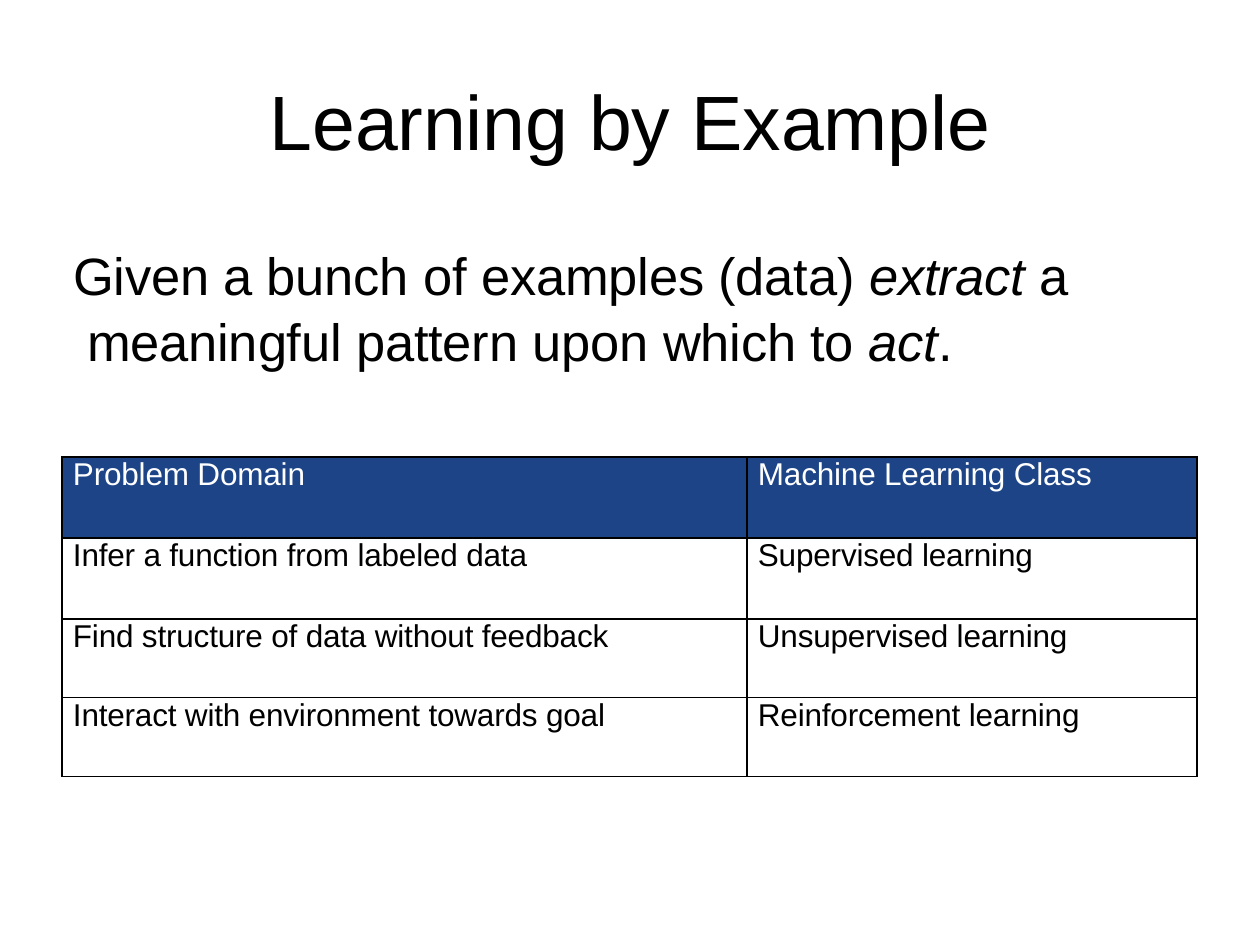
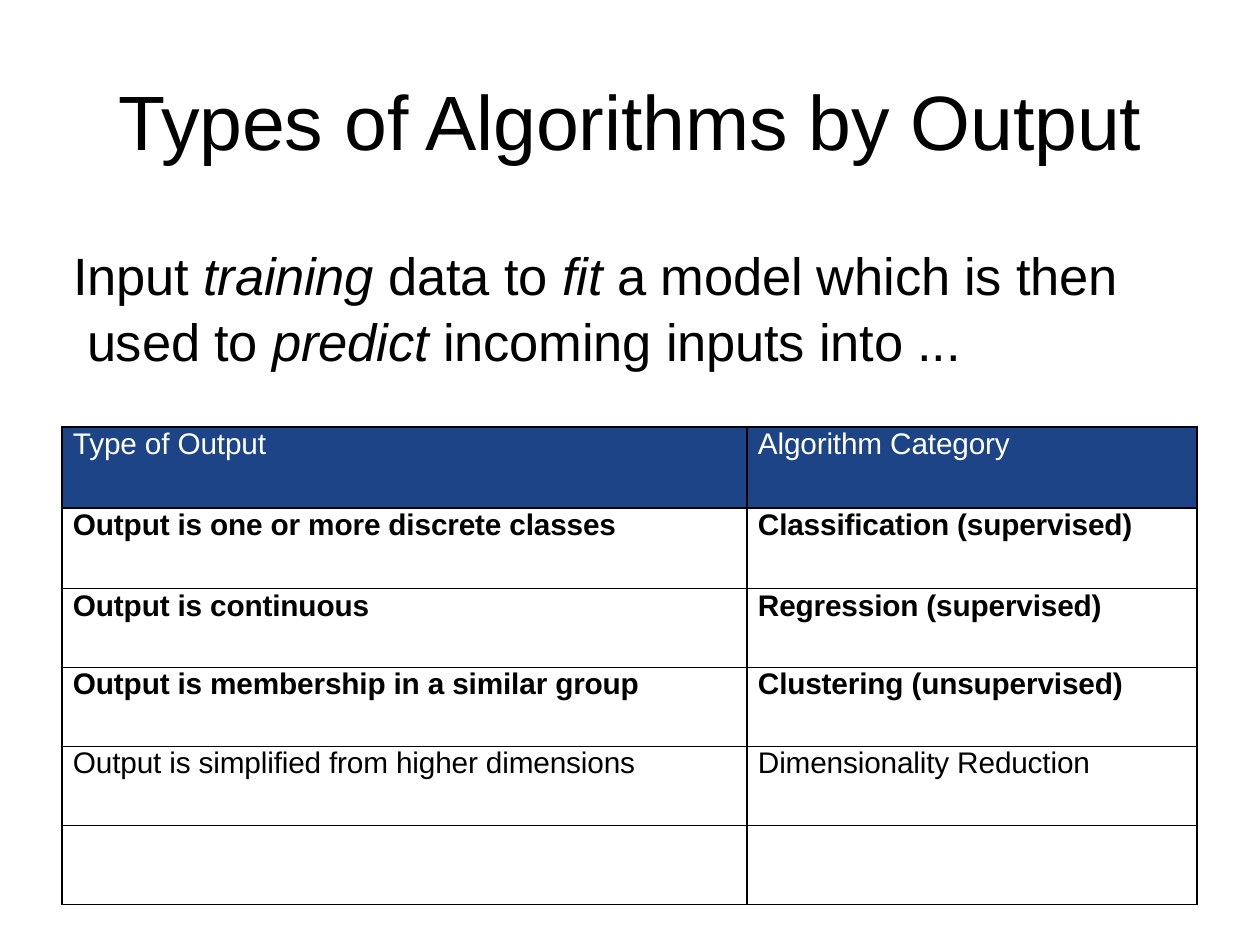
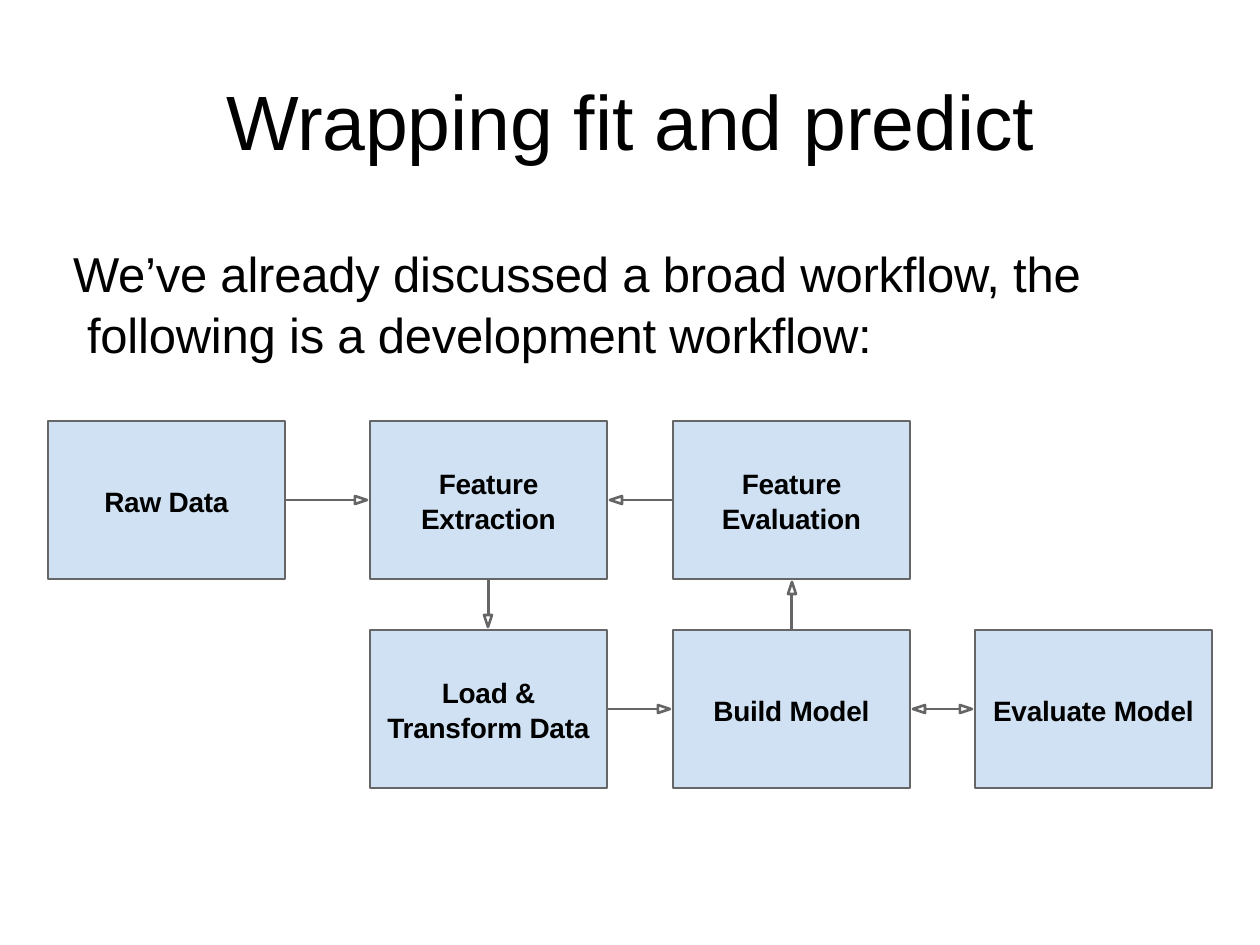
"""Builds three slides on learning by example, algorithm types and the model workflow."""
from lxml.etree import SubElement
from pptx import Presentation
from pptx.dml.color import RGBColor
from pptx.enum.shapes import MSO_CONNECTOR, MSO_SHAPE
from pptx.enum.text import MSO_ANCHOR, MSO_AUTO_SIZE, PP_ALIGN
from pptx.oxml.ns import qn
from pptx.util import Emu, Inches, Pt

PX = Inches(1) / 126
FONT = "Arial"
BLACK, WHITE, NAVY, PALE_BLUE, GREY = "000000", "FFFFFF", "1C4487", "CFE1F2", "666666"

LEARNING = {
    "title": "Learning by Example",
    "lead": "Given a bunch of examples (data) *extract* a meaningful pattern upon which to *act*.",
    "lead_width": 1008,
    "lead_size": 30,
}
LEARNING_ROWS = [
    ("Problem Domain", "Machine Learning Class"),
    ("Infer a function from labeled data", "Supervised learning"),
    ("Find structure of data without feedback", "Unsupervised learning"),
    ("Interact with environment towards goal", "Reinforcement learning"),
]
ALGORITHMS = {
    "title": "Types of Algorithms by Output",
    "lead": "Input *training* data to *fit* a model which is then used to *predict* incoming inputs into ...",
    "lead_width": 1057,
    "lead_size": 30,
}
ALGORITHM_ROWS = [
    ("Type of Output", "Algorithm Category"),
    ("Output is one or more discrete classes", "Classification (supervised)"),
    ("Output is continuous", "Regression (supervised)"),
    ("Output is membership in a similar group", "Clustering (unsupervised)"),
    ("Output is simplified from higher dimensions", "Dimensionality Reduction"),
    ("", ""),
]
WORKFLOW = {
    "title": "Wrapping fit and predict",
    "lead": "We’ve already discussed a broad workflow, the following is a development workflow:",
    "lead_width": 1024,
    "lead_size": 28,
}
STEPS = {
    "Raw Data": (0, 0),
    "Feature Extraction": (1, 0),
    "Feature Evaluation": (2, 0),
    "Load & Transform Data": (1, 1),
    "Build Model": (2, 1),
    "Evaluate Model": (3, 1),
}
FLOWS = [
    ("Raw Data", "Feature Extraction", False),
    ("Feature Extraction", "Load & Transform Data", False),
    ("Load & Transform Data", "Build Model", False),
    ("Build Model", "Feature Evaluation", False),
    ("Feature Evaluation", "Feature Extraction", False),
    ("Build Model", "Evaluate Model", True),
]
STEP_LEFTS, STEP_TOPS = (48, 370, 673, 975), (421, 630)
STEP_WIDTH, STEP_HEIGHT = 237, 158
HEAD_LENGTH, HEAD_HALF, HEAD_GAP = 12, 4, 3


def px(*lengths):
    return [Emu(round(length * PX)) for length in lengths]


def color(code):
    return RGBColor.from_string(code)


def style(paragraph, size, ink=BLACK, bold=False):
    font = paragraph.font
    font.name, font.size, font.bold = FONT, Pt(size), bold
    font.color.rgb = color(ink)
    font._rPr.set("spc", "-10")


def set_insets(target, left=0, top=0, right=0, bottom=0):
    (target.margin_left, target.margin_top,
     target.margin_right, target.margin_bottom) = px(left, top, right, bottom)


def add_slide(deck, title, lead, lead_width, lead_size):
    slide = deck.slides.add_slide(deck.slide_layouts[1])
    heading = slide.shapes.title.text_frame
    heading.text = title
    set_insets(heading, top=6)
    style(heading.paragraphs[0], 44)

    body = slide.placeholders[1]
    body.left, body.top, body.width, body.height = px(73, 241, lead_width, 127)
    frame = body.text_frame
    frame.auto_size = MSO_AUTO_SIZE.NONE
    set_insets(frame)
    sentence = frame.paragraphs[0]
    for index, part in enumerate(lead.split("*")):
        run = sentence.add_run()
        run.text = part
        run.font.italic = index % 2 == 1
    sentence.space_before, sentence.line_spacing = Pt(0), 1.04
    hanging, = px(14)
    properties = sentence._p.get_or_add_pPr()
    properties.set("marL", str(hanging))
    properties.set("indent", str(-hanging))
    SubElement(properties, qn("a:buNone"))
    style(sentence, lead_size)
    return slide


def add_borders(cell):
    properties = cell._tc.get_or_add_tcPr()
    for side in ("a:lnL", "a:lnR", "a:lnT", "a:lnB"):
        border = SubElement(properties, qn(side), w=str(Pt(0.75)))
        fill = SubElement(border, qn("a:solidFill"))
        SubElement(fill, qn("a:srgbClr"), val=BLACK)


def add_class_table(slide, rows, top, size, bold_rows=()):
    heights = [81 if index < 2 else 79 for index in range(len(rows))]
    table = slide.shapes.add_table(
        len(rows), 2, *px(62, top, 1135, sum(heights))).table
    table.horz_banding = False
    for column, width in zip(table.columns, px(685, 450)):
        column.width = width
    for index, (row, height) in enumerate(zip(table.rows, px(*heights))):
        row.height = height
        for cell, text in zip(row.cells, rows[index]):
            cell.text = text
            set_insets(cell, left=11)
            add_borders(cell)
            if index == 0:
                cell.fill.solid()
                cell.fill.fore_color.rgb = color(NAVY)
            else:
                cell.fill.background()
            style(cell.text_frame.paragraphs[0], size,
                  WHITE if index == 0 else BLACK, index in bold_rows)


def outline(shape):
    shape.line.color.rgb = color(GREY)
    shape.line.width = Pt(1.5)


def add_step(slide, name, column, row):
    box = slide.shapes.add_shape(MSO_SHAPE.RECTANGLE, *px(
        STEP_LEFTS[column], STEP_TOPS[row], STEP_WIDTH, STEP_HEIGHT))
    box.shadow.inherit = False
    box.fill.solid()
    box.fill.fore_color.rgb = color(PALE_BLUE)
    outline(box)
    frame = box.text_frame
    frame.text, frame.word_wrap = name, True
    frame.vertical_anchor = MSO_ANCHOR.MIDDLE
    set_insets(frame, left=10, right=10)
    label = frame.paragraphs[0]
    label.alignment, label.line_spacing = PP_ALIGN.CENTER, 1.05
    style(label, 16, bold=True)


def add_head(slide, tip, dx, dy):
    """Draws a hollow arrowhead whose tip points along (dx, dy)."""
    x, y = tip
    base_x, base_y = x - dx * HEAD_LENGTH, y - dy * HEAD_LENGTH
    builder = slide.shapes.build_freeform(
        base_x - dy * HEAD_HALF, base_y + dx * HEAD_HALF, scale=PX)
    builder.add_line_segments(
        [tip, (base_x + dy * HEAD_HALF, base_y - dx * HEAD_HALF)], close=True)
    head = builder.convert_to_shape()
    head.shadow.inherit = False
    head.fill.background()
    outline(head)


def add_flow(slide, source, target, both_ways):
    (column, row), (next_column, next_row) = STEPS[source], STEPS[target]
    dx, dy = next_column - column, next_row - row

    def edge(column, row, side):
        return (STEP_LEFTS[column] + STEP_WIDTH / 2 + side * dx * STEP_WIDTH / 2,
                STEP_TOPS[row] + STEP_HEIGHT / 2 + side * dy * STEP_HEIGHT / 2)

    def shift(point, distance):
        return point[0] + dx * distance, point[1] + dy * distance

    start, end = edge(column, row, 1), edge(next_column, next_row, -1)
    setback = HEAD_LENGTH + HEAD_GAP
    shaft_start = shift(start, setback) if both_ways else start
    shaft = slide.shapes.add_connector(
        MSO_CONNECTOR.STRAIGHT, *px(*shaft_start, *shift(end, -setback)))
    SubElement(shaft._element.spPr, qn("a:effectLst"))
    outline(shaft)
    add_head(slide, shift(end, -HEAD_GAP), dx, dy)
    if both_ways:
        add_head(slide, shift(start, HEAD_GAP), -dx, -dy)


def main():
    deck = Presentation()
    deck.slide_width, deck.slide_height = px(1260, 945)
    add_class_table(add_slide(deck, **LEARNING), LEARNING_ROWS, 457, 18)
    add_class_table(add_slide(deck, **ALGORITHMS), ALGORITHM_ROWS, 427, 17, (1, 2, 3))
    workflow = add_slide(deck, **WORKFLOW)
    for name, place in STEPS.items():
        add_step(workflow, name, *place)
    for flow in FLOWS:
        add_flow(workflow, *flow)
    deck.save("out.pptx")


if __name__ == "__main__":
    main()
